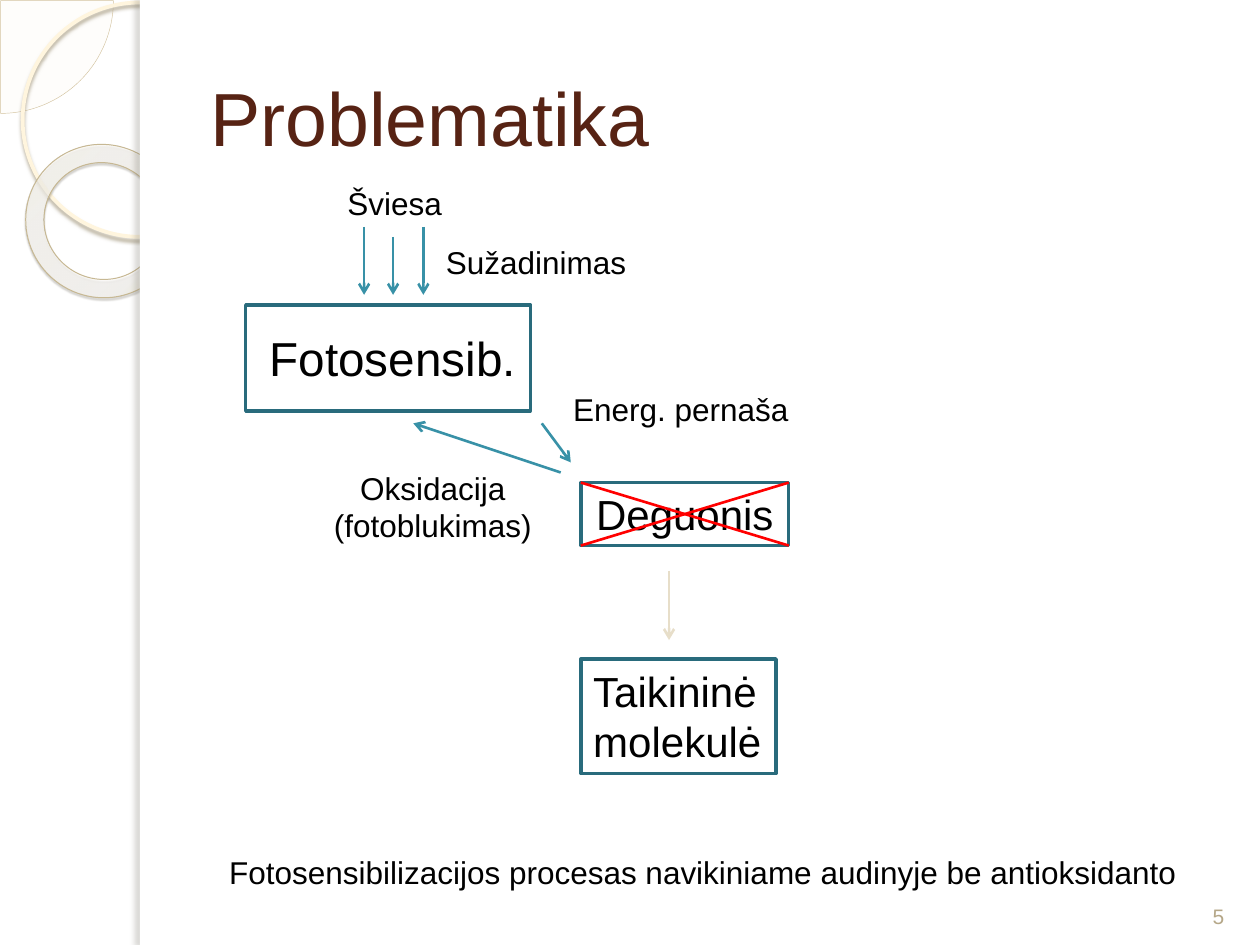
"""Build the slide on photosensitisation without an antioxidant."""
from dataclasses import dataclass
from typing import Optional

from lxml.etree import SubElement
from pptx import Presentation
from pptx.dml.color import RGBColor
from pptx.enum.shapes import MSO_CONNECTOR, MSO_SHAPE
from pptx.enum.text import MSO_ANCHOR, MSO_AUTO_SIZE, PP_ALIGN
from pptx.oxml import parse_xml
from pptx.oxml.ns import nsdecls, qn
from pptx.util import Inches, Pt

WHITE = RGBColor(0xFF, 0xFF, 0xFF)
BLACK = RGBColor(0x00, 0x00, 0x00)
BROWN = RGBColor(0x57, 0x23, 0x14)
TEAL = RGBColor(0x29, 0x6B, 0x7C)
BLUE = RGBColor(0x38, 0x91, 0xA7)
RED = RGBColor(0xFF, 0x00, 0x00)
SAND = RGBColor(0xE7, 0xDE, 0xC9)
TAUPE = RGBColor(0xB5, 0xA7, 0x88)
CREAM = RGBColor(0xFE, 0xFA, 0xF4)
PIE_EDGE = RGBColor(0xD3, 0xC3, 0x9F)
RING_EDGE = RGBColor(0xFF, 0xF5, 0xDE)
DONUT_EDGE = RGBColor(0xC7, 0xB8, 0x93)
RING_SHADOW = RGBColor(0xB0, 0xA6, 0x8F)
DONUT_SHADOW = RGBColor(0x5A, 0x54, 0x44)
PANEL_SHADOW = RGBColor(0x73, 0x6F, 0x63)
DONUT_STOPS = (
    (0, RGBColor(0xFF, 0xFC, 0xF6), 70),
    (70, RGBColor(0xFF, 0xFE, 0xFB), 55),
    (100, RGBColor(0xF0, 0xD2, 0x8E), 60),
)


@dataclass
class Shadow:
    color: RGBColor
    alpha: int
    blur: float
    dist: float
    angle: int


@dataclass
class Decor:
    kind: MSO_SHAPE
    box: tuple
    fill: Optional[RGBColor] = None
    line: Optional[RGBColor] = None
    width: float = 0
    shadow: Optional[Shadow] = None
    adjust: tuple = ()
    rotation: float = 0


@dataclass
class Label:
    text: str
    box: tuple
    size: float = 18
    color: RGBColor = BLACK
    align: PP_ALIGN = PP_ALIGN.LEFT
    anchor: MSO_ANCHOR = MSO_ANCHOR.TOP
    wrap: bool = False
    framed: bool = False


@dataclass
class Link:
    start: tuple
    end: tuple
    color: RGBColor = BLUE
    arrow: bool = True


DECOR = [
    Decor(MSO_SHAPE.PIE, (-0.89, -0.89, 1.79, 1.79), CREAM, PIE_EDGE, 0.25, adjust=(0, 54)),
    Decor(MSO_SHAPE.OVAL, (0.18, 0.02, 1.86, 1.86), None, RING_EDGE, 2.15,
          Shadow(RING_SHADOW, 85, 2, 2, 90)),
    Decor(MSO_SHAPE.DONUT, (0.2, 1.15, 1.23, 1.21), None, DONUT_EDGE, 0.58,
          Shadow(DONUT_SHADOW, 35, 1, 1.2, 75), (0.12,), 38.6),
    Decor(MSO_SHAPE.RECTANGLE, (1.11, 0, 8.89, 7.5), WHITE),
    Decor(MSO_SHAPE.RECTANGLE, (1.11, 0, 0.08, 7.5), WHITE,
          shadow=Shadow(PANEL_SHADOW, 25, 3, 3, 180)),
]
TITLE = Label("Problematika", (1.57, 0.3, 8.2, 1.25), 43, BROWN,
              anchor=MSO_ANCHOR.MIDDLE, wrap=True)
SENSITISER = Label("Fotosensib.", (1.95, 2.42, 2.26, 0.84), 27.2,
                   anchor=MSO_ANCHOR.MIDDLE, wrap=True, framed=True)
LABELS = [
    Label("Deguonis", (4.61, 3.83, 1.65, 0.5), 24, align=PP_ALIGN.CENTER,
          anchor=MSO_ANCHOR.MIDDLE, wrap=True, framed=True),
    Label("Taikininė\nmolekulė", (4.61, 5.23, 1.55, 0.91), 24, framed=True),
    Label("Šviesa", (2.66, 1.41, 0.96, 0.4)),
    Label("Sužadinimas", (3.44, 1.88, 1.65, 0.4)),
    Label("Energ. pernaša", (4.45, 3.05, 1.93, 0.4)),
    Label("Oksidacija\n(fotoblukimas)", (2.54, 3.67, 1.79, 0.71), align=PP_ALIGN.CENTER),
    Label("Fotosensibilizacijos procesas navikiniame audinyje be antioksidanto",
          (1.72, 6.72, 7.79, 0.4)),
    Label("5", (9.42, 6.9, 0.5, 0.52), 12, TAUPE, PP_ALIGN.CENTER, MSO_ANCHOR.BOTTOM, True),
]
LINKS = [
    *(Link((x, y), (x, 2.34)) for x, y in ((2.89, 1.8), (3.12, 1.88), (3.36, 1.8))),
    Link((4.3, 3.36), (4.53, 3.67)),
    Link((4.45, 3.75), (3.28, 3.36)),
    Link((5.31, 4.53), (5.31, 5.08), SAND),
    Link((4.61, 4.33), (6.26, 3.83), RED, False),
    Link((6.26, 4.33), (4.61, 3.83), RED, False),
]


def add_color(parent, color: RGBColor, alpha: int) -> None:
    clr = SubElement(parent, qn("a:srgbClr"), val=str(color))
    SubElement(clr, qn("a:alpha"), val=str(alpha * 1000))


def add_shadow(sp, shadow: Shadow) -> None:
    effects = sp.element.spPr.find(qn("a:effectLst"))
    outer = SubElement(effects, qn("a:outerShdw"), blurRad=str(Pt(shadow.blur)),
                       dist=str(Pt(shadow.dist)), dir=str(shadow.angle * 60000),
                       algn="tl", rotWithShape="0")
    add_color(outer, shadow.color, shadow.alpha)


def fill_donut(sp) -> None:
    grad = parse_xml(f'<a:gradFill {nsdecls("a")}><a:gsLst/><a:path path="circle">'
                     '<a:fillToRect l="-408000" t="-50000" r="508000" b="150000"/>'
                     '</a:path></a:gradFill>')
    for pos, color, alpha in DONUT_STOPS:
        add_color(SubElement(grad[0], qn("a:gs"), pos=str(pos * 1000)), color, alpha)
    spPr = sp.element.spPr
    spPr.replace(spPr.find(qn("a:noFill")), grad)


def add_decor(s, item: Decor) -> None:
    sp = s.shapes.add_shape(item.kind, *map(Inches, item.box))
    sp.shadow.inherit = False
    sp.rotation = item.rotation
    for i, value in enumerate(item.adjust):
        sp.adjustments[i] = value
    if item.fill is None:
        sp.fill.background()
    else:
        sp.fill.solid()
        sp.fill.fore_color.rgb = item.fill
    if item.line is None:
        sp.line.fill.background()
    else:
        sp.line.color.rgb = item.line
        sp.line.width = Pt(item.width)
    if item.shadow:
        add_shadow(sp, item.shadow)
    if item.kind == MSO_SHAPE.DONUT:
        fill_donut(sp)
    if item.kind == MSO_SHAPE.PIE:
        clr = sp.element.spPr.find(qn("a:solidFill"))[0]
        SubElement(clr, qn("a:alpha"), val="33000")


def format_label(sp, label: Label) -> None:
    for name, value in zip(("left", "top", "width", "height"), label.box):
        setattr(sp, name, Inches(value))
    if label.framed:
        sp.fill.background()
        sp.line.color.rgb = TEAL
        sp.line.width = Pt(2)
    tf = sp.text_frame
    tf.text = label.text
    frame = {"word_wrap": label.wrap, "auto_size": MSO_AUTO_SIZE.NONE,
             "vertical_anchor": label.anchor}
    for name, value in frame.items():
        setattr(tf, name, value)
    for p in tf.paragraphs:
        p.alignment = label.align
        p.space_before = Pt(0)
        for r in p.runs:
            for name, value in {"name": "Arial", "size": Pt(label.size)}.items():
                setattr(r.font, name, value)
            r.font.color.rgb = label.color


def add_label(s, label: Label) -> None:
    box = tuple(map(Inches, label.box))
    if label.framed:
        sp = s.shapes.add_shape(MSO_SHAPE.RECTANGLE, *box)
        sp.shadow.inherit = False
    else:
        sp = s.shapes.add_textbox(*box)
    format_label(sp, label)


def add_link(s, link: Link) -> None:
    cxn = s.shapes.add_connector(MSO_CONNECTOR.STRAIGHT, *map(Inches, link.start + link.end))
    cxn.line.color.rgb = link.color
    cxn.line.width = Pt(1.5)
    spPr = cxn.element.spPr
    if link.arrow:
        SubElement(spPr.find(qn("a:ln")), qn("a:tailEnd"), type="arrow")
    SubElement(spPr, qn("a:effectLst"))


def main() -> None:
    prs = Presentation()
    prs.slide_width, prs.slide_height = Inches(10), Inches(7.5)
    s = prs.slides.add_slide(prs.slide_layouts[1])
    for item in DECOR:
        add_decor(s, item)
    title, body = s.placeholders
    for sp, label in ((title, TITLE), (body, SENSITISER)):
        sp.element.getparent().append(sp.element)
        format_label(sp, label)
    pPr = body.text_frame.paragraphs[0].runs[0].font and body.element.find(".//" + qn("a:pPr"))
    for name, value in {"marL": 0.4, "indent": -0.31}.items():
        pPr.set(name, str(Inches(value)))
    SubElement(pPr, qn("a:buNone"))
    for label in LABELS:
        add_label(s, label)
    for link in LINKS:
        add_link(s, link)
    prs.save("out.pptx")


if __name__ == "__main__":
    main()
